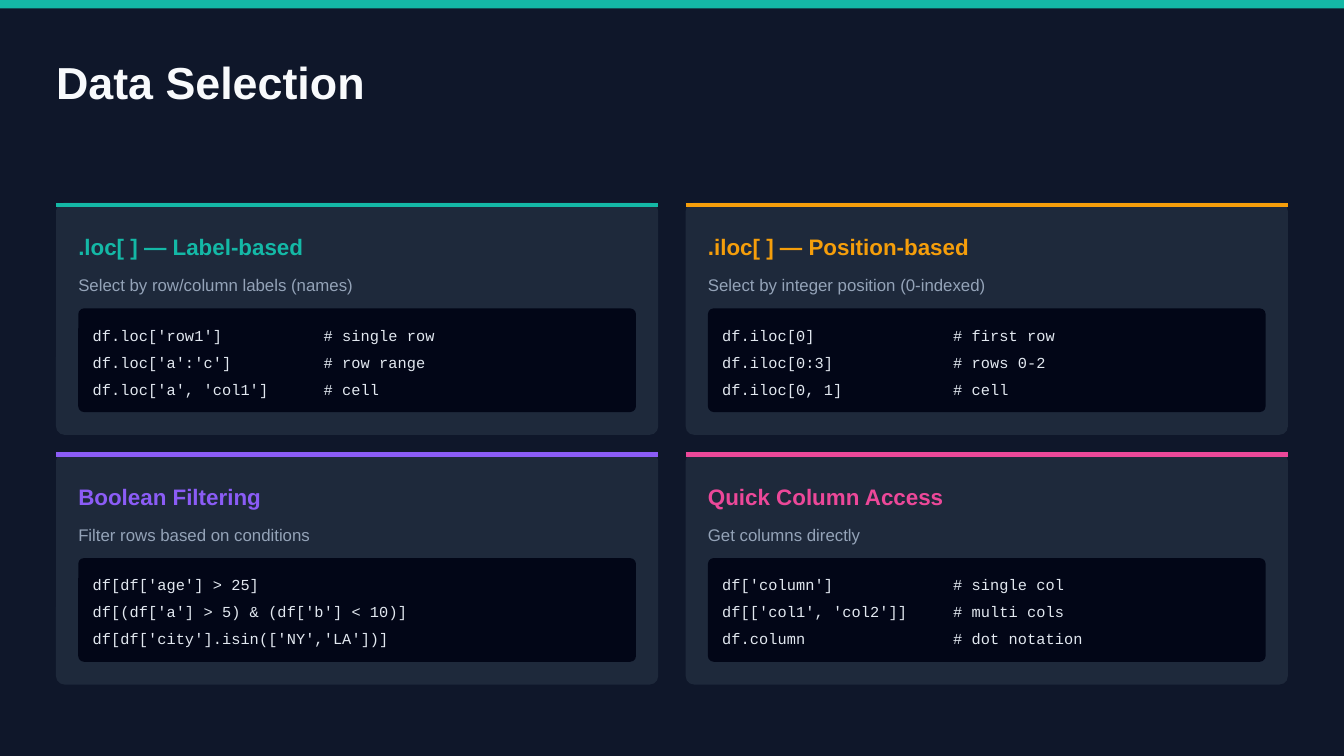
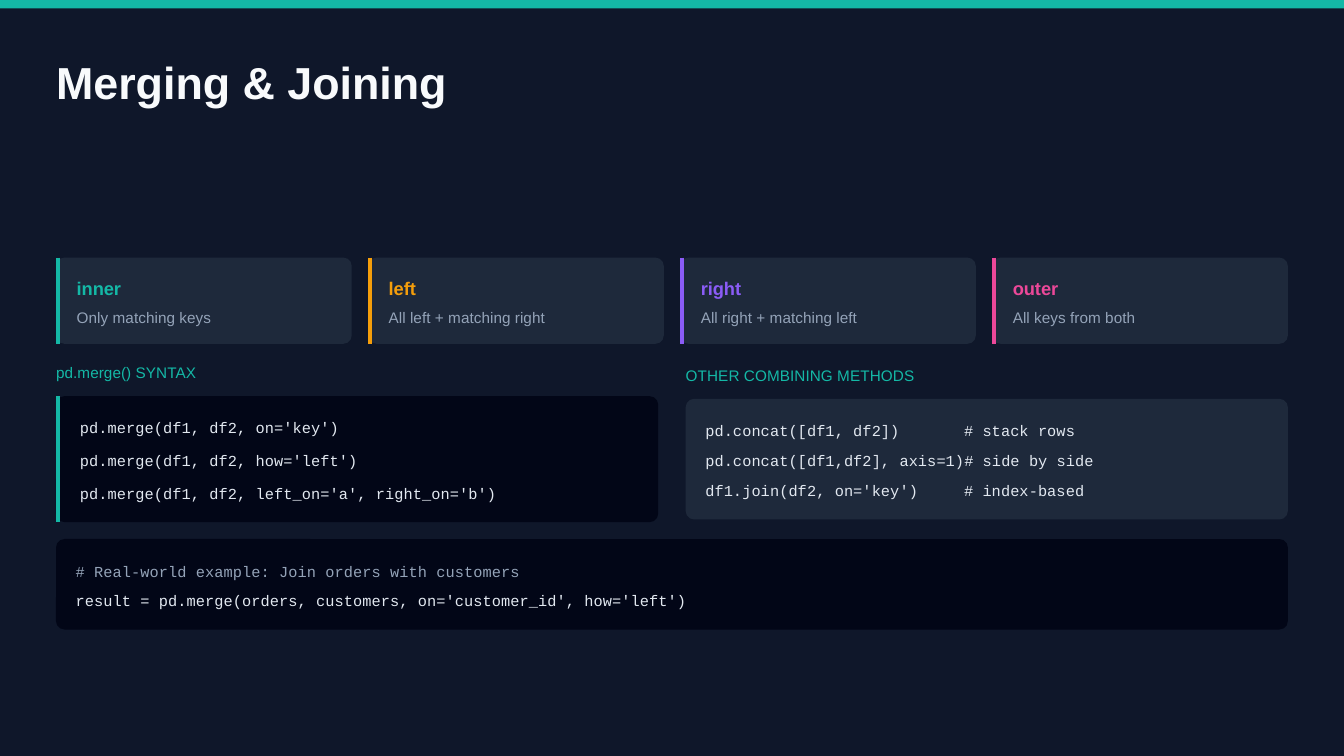
from lxml import etree
from pptx import Presentation
from pptx.dml.color import RGBColor
from pptx.enum.shapes import MSO_CONNECTOR, MSO_SHAPE
from pptx.oxml.ns import qn
from pptx.util import Cm, Pt

STRAIGHT = MSO_CONNECTOR.STRAIGHT
RECTANGLE = MSO_SHAPE.RECTANGLE
ROUNDED = MSO_SHAPE.ROUNDED_RECTANGLE

COLORS = {
    "background": "0F172A", "card": "1E293B", "code": "020617",
    "title": "F8FAFC", "muted": "94A3B8", "light": "E2E8F0",
    "teal": "14B8A6", "amber": "F59E0B", "violet": "8B5CF6", "pink": "EC4899",
}
FONTS = {
    "title": {"name": "Arial", "size": Pt(24), "bold": True},
    "heading": {"name": "Arial", "size": Pt(12), "bold": True},
    "summary": {"name": "Arial", "size": Pt(9)},
    "join": {"name": "Arial", "size": Pt(9.75), "bold": True},
    "label": {"name": "Arial", "size": Pt(8.25)},
    "code": {"name": "Courier New", "size": Pt(8.25)},
}
LEADING = {"title": 1}
INSETS = ("margin_left", "margin_top", "margin_right", "margin_bottom")

WIDTH, HEIGHT = 25.4, 14.29
MARGIN = 1.06
CONTENT = WIDTH - 2 * MARGIN
HALF = 11.38
RIGHT = WIDTH - MARGIN - HALF
CARD_RADIUS, CODE_RADIUS = 0.16, 0.11
STROKE = 0.04
CHAR_WIDTH = 0.6 * FONTS["code"]["size"].pt

SELECTORS = [
    (".loc[ ] — Label-based", "Select by row/column labels (names)", "teal",
     ["df.loc['row1']\t# single row", "df.loc['a':'c']\t# row range",
      "df.loc['a', 'col1']\t# cell"]),
    (".iloc[ ] — Position-based", "Select by integer position (0-indexed)", "amber",
     ["df.iloc[0]\t# first row", "df.iloc[0:3]\t# rows 0-2",
      "df.iloc[0, 1]\t# cell"]),
    ("Boolean Filtering", "Filter rows based on conditions", "violet",
     ["df[df['age'] > 25]", "df[(df['a'] > 5) & (df['b'] < 10)]",
      "df[df['city'].isin(['NY','LA'])]"]),
    ("Quick Column Access", "Get columns directly", "pink",
     ["df['column']\t# single col", "df[['col1', 'col2']]\t# multi cols",
      "df.column\t# dot notation"]),
]
JOINS = [
    ("inner", "Only matching keys", "teal"),
    ("left", "All left + matching right", "amber"),
    ("right", "All right + matching left", "violet"),
    ("outer", "All keys from both", "pink"),
]
MERGE_SYNTAX = [
    "pd.merge(df1, df2, on='key')",
    "pd.merge(df1, df2, how='left')",
    "pd.merge(df1, df2, left_on='a', right_on='b')",
]
OTHER_METHODS = [
    "pd.concat([df1, df2])\t# stack rows",
    "pd.concat([df1,df2], axis=1)# side by side",
    "df1.join(df2, on='key')\t# index-based",
]
EXAMPLE = [
    "# Real-world example: Join orders with customers",
    "result = pd.merge(orders, customers, on='customer_id', how='left')",
]


def rgb(color):
    return RGBColor.from_string(COLORS[color])


class Deck:
    def __init__(self):
        self.presentation = Presentation()
        self.presentation.slide_width = Cm(WIDTH)
        self.presentation.slide_height = Cm(HEIGHT)
        self.slide = None

    def add_slide(self, title):
        self.slide = self.presentation.slides.add_slide(self.presentation.slide_layouts[6])
        fill = self.slide.background.fill
        fill.solid()
        fill.fore_color.rgb = rgb("background")
        self.panel(0, 0, WIDTH, 0.16, "teal")
        self.text(title, MARGIN, 1.21, 11.91, 0.85, "title", "title")

    def panel(self, x, y, width, height, color, radius=0):
        panel = self.slide.shapes.add_shape(
            ROUNDED if radius else RECTANGLE, Cm(x), Cm(y), Cm(width), Cm(height))
        if radius:
            panel.adjustments[0] = radius / height
        panel.shadow.inherit = False
        panel.fill.solid()
        panel.fill.fore_color.rgb = rgb(color)
        panel.line.fill.background()

    def accent(self, x1, y1, x2, y2, color):
        accent = self.slide.shapes.add_connector(STRAIGHT, Cm(x1), Cm(y1), Cm(x2), Cm(y2))
        accent.line.color.rgb = rgb(color)
        accent.line.width = Pt(2.25)
        etree.SubElement(accent._element.spPr, qn("a:effectLst"))

    def text(self, content, x, y, width, height, style, color, tab=0):
        frame = self.slide.shapes.add_textbox(Cm(x), Cm(y), Cm(width), Cm(height)).text_frame
        for inset in INSETS:
            setattr(frame, inset, 0)
        frame.word_wrap = True
        paragraph = frame.paragraphs[0]
        run = paragraph.add_run()
        run.text = content
        for attribute, value in FONTS[style].items():
            setattr(run.font, attribute, value)
        run.font.color.rgb = rgb(color)
        paragraph.line_spacing = Pt(FONTS[style]["size"].pt * LEADING.get(style, 1.4))
        if "\t" in content:
            stops = etree.SubElement(paragraph._p.get_or_add_pPr(), qn("a:tabLst"))
            etree.SubElement(stops, qn("a:tab"), pos=str(Pt(tab * CHAR_WIDTH)), algn="l")

    def code(self, lines, x, y, width, pitch, tab=0):
        for row, line in enumerate(lines):
            color = "muted" if line.startswith("#") else "light"
            self.text(line, x, y + row * pitch, width, 0.41, "code", color, tab)

    def selector_card(self, x, y, heading, summary, color, lines):
        self.panel(x, y, HALF, 4.39, "card", CARD_RADIUS)
        self.accent(x, y + STROKE, x + HALF, y + STROKE, color)
        self.text(heading, x + 0.42, y + 0.5, 10.74, 0.59, "heading", color)
        self.text(summary, x + 0.42, y + 1.3, 10.74, 0.43, "summary", "muted")
        self.panel(x + 0.42, y + 2, 10.54, 1.96, "code", CODE_RADIUS)
        self.code(lines, x + 0.69, y + 2.27, 10.21, 0.51, tab=25)

    def join_card(self, x, y, width, join, result, color):
        height = 1.63
        self.panel(x, y, width, height, "card", CARD_RADIUS)
        self.accent(x + STROKE, y, x + STROKE, y + height, color)
        self.text(join, x + 0.39, y + 0.31, 4.98, 0.48, "join", color)
        self.text(result, x + 0.39, y + 0.9, 4.98, 0.41, "label", "muted")

    def label(self, content, x, y):
        self.text(content, x, y, 11.61, 0.41, "label", "teal")


def data_selection(deck):
    deck.add_slide("Data Selection")
    for index, selector in enumerate(SELECTORS):
        row, column = divmod(index, 2)
        deck.selector_card((MARGIN, RIGHT)[column], 3.83 + row * 4.72, *selector)


def merging_and_joining(deck):
    deck.add_slide("Merging & Joining")
    gap = 0.31
    width = (CONTENT - gap * (len(JOINS) - 1)) / len(JOINS)
    for column, join in enumerate(JOINS):
        deck.join_card(MARGIN + column * (width + gap), 4.87, width, *join)

    deck.label("pd.merge() SYNTAX", MARGIN, 6.81)
    deck.panel(MARGIN, 7.49, HALF, 2.38, "code", CARD_RADIUS)
    deck.accent(MARGIN + STROKE, 7.49, MARGIN + STROKE, 9.87, "teal")
    deck.code(MERGE_SYNTAX, MARGIN + 0.45, 7.85, 10.77, 0.62)

    deck.label("OTHER COMBINING METHODS", RIGHT, 6.86)
    deck.panel(RIGHT, 7.54, HALF, 2.28, "card", CARD_RADIUS)
    deck.code(OTHER_METHODS, RIGHT + 0.37, 7.91, 10.85, 0.56, tab=28)

    deck.panel(MARGIN, 10.19, CONTENT, 1.71, "code", CARD_RADIUS)
    deck.code(EXAMPLE, MARGIN + 0.37, 10.56, 22.99, 0.56)


def main():
    deck = Deck()
    data_selection(deck)
    merging_and_joining(deck)
    deck.presentation.save("out.pptx")


if __name__ == "__main__":
    main()
